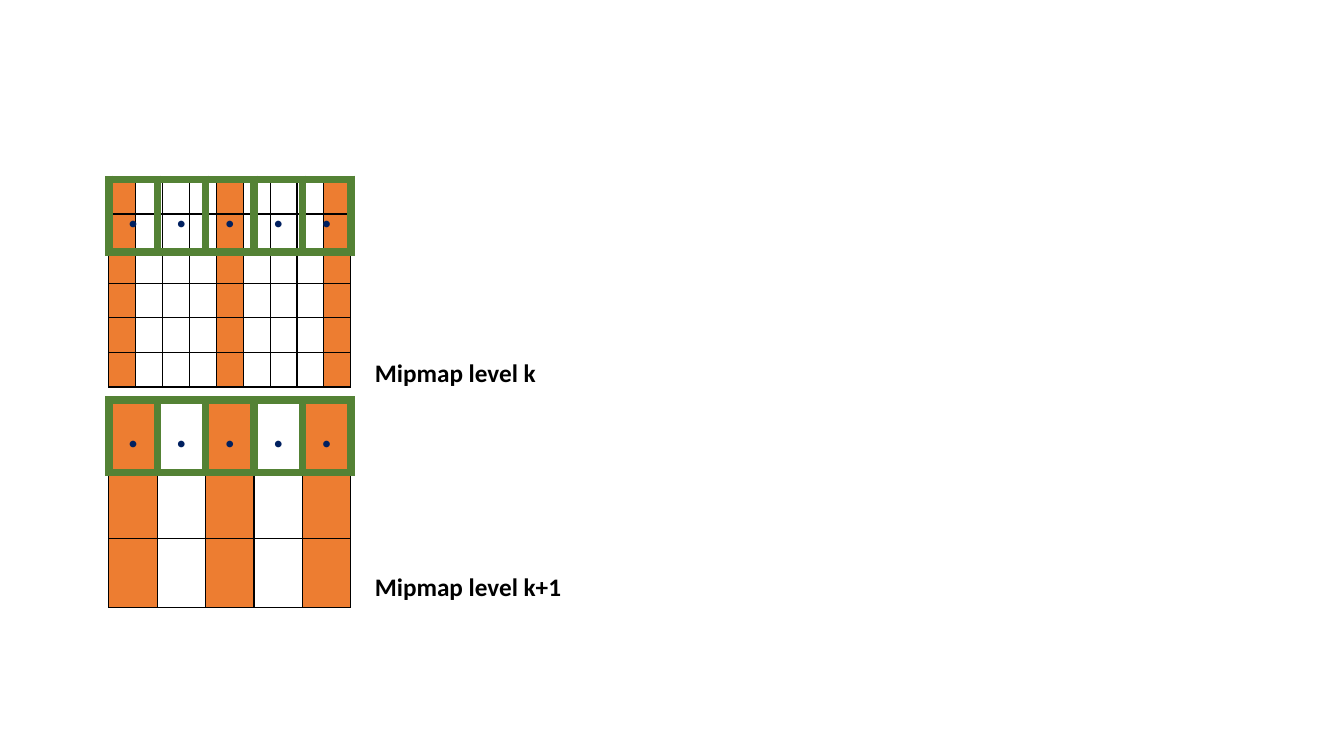
from dataclasses import dataclass

from lxml.etree import SubElement
from pptx import Presentation
from pptx.dml.color import RGBColor
from pptx.enum.text import MSO_AUTO_SIZE as AutoSize, PP_ALIGN as Align
from pptx.oxml.ns import qn
from pptx.slide import Slide
from pptx.table import _Cell as Cell
from pptx.text.text import TextFrame
from pptx.util import Emu, Pt

EMU_PER_PX = 9144  # 100 px to the inch
COLORS = {
    "texel": "ED7D31",
    "grid": "000000",
    "filter": "548235",
    "sample": "002060",
    "label": "000000",
}
FONT = "Calibri"
GRID_LEFT, GRID_WIDTH = 108, 240
LABEL_LEFT, LABEL_HEIGHT = 362, 40


@dataclass(frozen=True)
class Grid:
    top: int
    height: int
    rows: int
    columns: int
    border_color: str
    border_width: int
    stripe_step: int = 0
    cell_text: str = ""
    margin: int = 0


@dataclass(frozen=True)
class Label:
    text: str
    top: int
    width: int


def texel_grid(top: int, rows: int, columns: int, stripe_step: int) -> Grid:
    return Grid(top, 206, rows, columns, "grid", 1, stripe_step)


def filter_grid(top: int) -> Grid:
    return Grid(top, 72, 1, 5, "filter", 6, cell_text=".", margin=5)


LEVEL_TOPS = (178, 397)
TEXEL_GRIDS = (
    texel_grid(LEVEL_TOPS[0], rows=6, columns=9, stripe_step=4),
    texel_grid(LEVEL_TOPS[1], rows=3, columns=5, stripe_step=2),
)
LABELS = (Label("Mipmap level k", 350, 181), Label("Mipmap level k+1", 562, 207))


def px(length: int) -> Emu:
    return Emu(length * EMU_PER_PX)


def write(frame: TextFrame, text: str, *, size: int, color: str,
          align: Align = Align.LEFT) -> None:
    paragraph = frame.paragraphs[0]
    paragraph.alignment = align
    run = paragraph.add_run()
    run.text = text
    run.font.name = FONT
    run.font.size = Pt(size)
    run.font.bold = True
    run.font.color.rgb = RGBColor.from_string(COLORS[color])


def set_borders(cell: Cell, color: str, width: int) -> None:
    properties = cell._tc.get_or_add_tcPr()
    for side in ("a:lnL", "a:lnR", "a:lnT", "a:lnB"):
        line = SubElement(properties, qn(side), w=str(Pt(width)))
        fill = SubElement(line, qn("a:solidFill"))
        SubElement(fill, qn("a:srgbClr"), val=COLORS[color])


def add_grid(slide: Slide, grid: Grid) -> None:
    table = slide.shapes.add_table(
        grid.rows, grid.columns,
        px(GRID_LEFT), px(grid.top), px(GRID_WIDTH), px(grid.height),
    ).table
    table.first_row = table.horz_banding = False
    for row in table.rows:
        for index, cell in enumerate(row.cells):
            cell.margin_left = cell.margin_right = px(grid.margin)
            cell.margin_top = cell.margin_bottom = px(grid.margin)
            set_borders(cell, grid.border_color, grid.border_width)
            if grid.stripe_step and index % grid.stripe_step == 0:
                cell.fill.solid()
                cell.fill.fore_color.rgb = RGBColor.from_string(COLORS["texel"])
            else:
                cell.fill.background()
            if grid.cell_text:
                write(cell.text_frame, grid.cell_text, size=32, color="sample",
                      align=Align.CENTER)


def add_label(slide: Slide, label: Label) -> None:
    box = slide.shapes.add_textbox(
        px(LABEL_LEFT), px(label.top), px(label.width), px(LABEL_HEIGHT))
    box.text_frame.word_wrap = False
    box.text_frame.auto_size = AutoSize.SHAPE_TO_FIT_TEXT
    write(box.text_frame, label.text, size=18, color="label")


def main() -> None:
    presentation = Presentation()
    presentation.slide_width, presentation.slide_height = px(1333), px(750)
    slide = presentation.slides.add_slide(presentation.slide_layouts[6])
    for grid in TEXEL_GRIDS:
        add_grid(slide, grid)
    for label in LABELS:
        add_label(slide, label)
    for top in LEVEL_TOPS:
        add_grid(slide, filter_grid(top))
    presentation.save("out.pptx")


if __name__ == "__main__":
    main()
